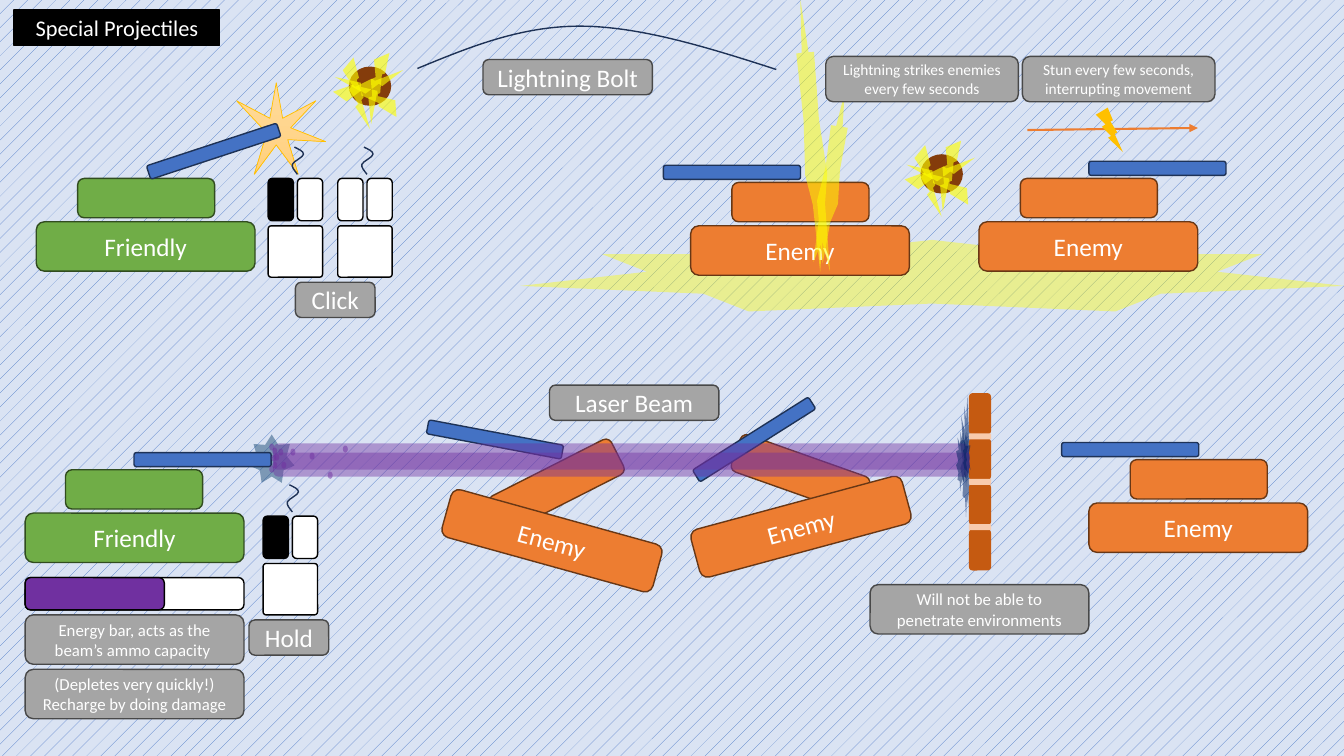
"""Build the Special Projectiles slide: a lightning bolt above, a laser beam below."""
from dataclasses import dataclass

from pptx import Presentation
from pptx.dml.color import RGBColor
from pptx.enum.dml import MSO_PATTERN
from pptx.enum.shapes import MSO_CONNECTOR, MSO_SHAPE
from pptx.enum.text import MSO_ANCHOR, PP_ALIGN
from pptx.oxml import parse_xml
from pptx.oxml.ns import nsdecls, qn
from pptx.util import Inches, Pt


@dataclass(frozen=True)
class Theme:
    font: str = "Calibri"
    small: int = 11
    note: int = 12
    heading: int = 16
    label: int = 18
    white: str = "FFFFFF"
    black: str = "000000"
    blue: str = "4472C4"
    blue_edge: str = "1E3256"
    paper: str = "DAE3F3"
    green: str = "70AD47"
    green_edge: str = "314C1F"
    orange: str = "ED7D31"
    orange_edge: str = "683715"
    gray: str = "A5A5A5"
    gray_edge: str = "484848"
    yellow: str = "FFFF00"
    gold: str = "FFC000"
    flash_top: str = "FFDB9E"
    flash_bottom: str = "FFD07C"
    brown: str = "843C0B"
    brick: str = "C55A11"
    mortar: str = "F8CBAD"
    purple: str = "7030A0"
    navy: str = "002060"
    steel: str = "1F4E79"


theme = Theme()
ROUND = MSO_SHAPE.ROUNDED_RECTANGLE
STAR = MSO_SHAPE.STAR_7_POINT
BOLT = MSO_SHAPE.LIGHTNING_BOLT
BURST = MSO_SHAPE.EXPLOSION2

prs = Presentation()
prs.slide_width, prs.slide_height = Inches(13.33), Inches(7.5)
slide = prs.slides.add_slide(prs.slide_layouts[5])
backdrop = slide.background.fill
backdrop.patterned()
backdrop.pattern = MSO_PATTERN.PERCENT_5
backdrop.fore_color.rgb = RGBColor.from_string(theme.blue)
backdrop.back_color.rgb = RGBColor.from_string(theme.paper)


def draw(kind, box, color, edge=None, alpha=None, turn=0, adjust=None,
         text="", size=theme.label):
    """Add a shape, or restyle the title when kind is None."""
    left, top, width, height = map(Inches, box)
    if kind is None:
        shape = slide.shapes.title
        shape.left, shape.top, shape.width, shape.height = left, top, width, height
        shape.element.spPr.insert(1, parse_xml(
            f'<a:prstGeom {nsdecls("a")} prst="roundRect"><a:avLst/></a:prstGeom>'))
    else:
        shape = slide.shapes.add_shape(kind, left, top, width, height)
        shape.shadow.inherit = False
    shape.rotation = turn
    if adjust is not None:
        shape.adjustments[0] = adjust
    shape.fill.solid()
    shape.fill.fore_color.rgb = RGBColor.from_string(color)
    if alpha:
        tint = shape.element.spPr.find(qn("a:solidFill")).find(qn("a:srgbClr"))
        tint.append(parse_xml(f'<a:alpha {nsdecls("a")} val="{alpha * 1000}"/>'))
    if edge:
        shape.line.color.rgb = RGBColor.from_string(edge)
        shape.line.width = Pt(1)
    else:
        shape.line.fill.background()
    if text:
        frame = shape.text_frame
        frame.text = text
        frame.word_wrap = True
        frame.vertical_anchor = MSO_ANCHOR.MIDDLE
        for paragraph in frame.paragraphs:
            paragraph.alignment = PP_ALIGN.CENTER
            font = paragraph.runs[0].font
            font.name, font.size = theme.font, Pt(size)
            font.color.rgb = RGBColor.from_string(theme.white)
    return shape


def draw_curve(points):
    """Draw one open outline of cubic Bezier segments."""
    builder = slide.shapes.build_freeform(*map(Inches, points[0]))
    builder.add_line_segments([tuple(map(Inches, p)) for p in points[1:]], close=False)
    curve = builder.convert_to_shape()
    curve.shadow.inherit = False
    curve.fill.background()
    curve.line.color.rgb = RGBColor.from_string(theme.blue_edge)
    curve.line.width = Pt(1)
    corners = list(curve.element.spPr.iter(qn("a:lnTo")))
    outline = corners[0].getparent()
    for start in range(0, len(corners), 3):
        bezier = parse_xml(f'<a:cubicBezTo {nsdecls("a")}/>')
        for corner in corners[start:start + 3]:
            bezier.append(corner[0])
            outline.remove(corner)
        outline.append(bezier)


draw(None, (0.14, 0.1, 2.04, 0.35), theme.black, theme.black,
     text="Special Projectiles", size=theme.heading)

draw(STAR, (2.47, 4.31, 0.45, 0.48), theme.steel, alpha=50, adjust=0.327)
draw(BURST, (9.52, 3.92, 0.15, 1.21), theme.navy, alpha=50, turn=357.4)
flash = draw(STAR, (2.25, 0.82, 0.98, 0.91), theme.gold, theme.gold, adjust=0.145)
flash.line.width = Pt(0.5)
flash.fill.gradient()
flash.fill.gradient_angle = 270
for stop, color in zip(flash.fill.gradient_stops, (theme.flash_top, theme.flash_bottom)):
    stop.color.rgb = RGBColor.from_string(color)
draw(STAR, (5.16, 2.38, 8.17, 0.71), theme.yellow, alpha=40)

friendly = ("Friendly", theme.green, theme.green_edge)
enemy = ("Enemy", theme.orange, theme.orange_edge)
tanks = [
    (friendly, (0.36, 2.2, 0), (0.77, 1.77, 0), (1.44, 1.43, 341.8)),
    (enemy, (6.85, 2.24, 0), (7.26, 1.81, 0), (6.58, 1.64, 0)),
    (enemy, (9.71, 2.2, 0), (10.12, 1.77, 0), (10.8, 1.6, 0)),
    (friendly, (0.25, 5.09, 0), (0.65, 4.66, 0), (1.33, 4.49, 0)),
    (enemy, (4.39, 5.12, 15.5), (4.84, 4.62, 333.1), (4.23, 4.29, 10.7)),
    (enemy, (6.86, 4.98, 344.9), (7.26, 4.51, 19.5), (6.8, 4.29, 327.7)),
    (enemy, (10.8, 4.99, 0), (11.21, 4.56, 0), (10.53, 4.39, 0)),
]
for (side, color, edge), hull, turret, barrel in tanks:
    draw(ROUND, (*turret[:2], 1.36, 0.39), color, edge, turn=turret[2])
    draw(ROUND, (*barrel[:2], 1.36, 0.14), theme.blue, theme.blue_edge, turn=barrel[2])
    draw(ROUND, (*hull[:2], 2.17, 0.49), color, edge, turn=hull[2], text=side)

for x, y in ((3.46, 0.66), (9.13, 1.53)):
    draw(MSO_SHAPE.OVAL, (x, y, 0.42, 0.39), theme.brown)
    for dx, dy, turn in ((-0.06, -0.09, 0), (0.07, -0.09, 136),
                         (0.06, -0.16, 265.8), (0.13, -0.16, 27.4)):
        draw(BOLT, (x + dx, y + dy, 0.27, 0.71), theme.yellow, alpha=62, turn=turn)
draw_curve([(4.14, 0.68), (4.65, 0.47), (5.16, 0.26), (5.75, 0.26),
            (6.34, 0.26), (7.02, 0.47), (7.7, 0.69)])

cable = [(0.29, -0.51), (0.26, -0.55), (0.23, -0.58), (0.24, -0.61), (0.25, -0.64),
         (0.35, -0.68), (0.35, -0.71), (0.35, -0.74), (0.3, -0.76), (0.26, -0.78)]
for x, y, left_button in ((2.66, 2.24, theme.black), (3.35, 2.24, theme.white),
                          (2.61, 5.59, theme.black)):
    draw(ROUND, (x, y, 0.54, 0.51), theme.white, theme.black, adjust=0.059)
    draw(ROUND, (x + 0.29, y - 0.47, 0.25, 0.42), theme.white, theme.black)
    draw(ROUND, (x, y - 0.47, 0.25, 0.42), left_button, theme.black)
    draw_curve([(x + dx, y + dy) for dx, dy in cable])

draw(STAR, (7.95, -0.02, 0.22, 2.72), theme.yellow, alpha=50, turn=354.8)
draw(STAR, (8.14, 0.91, 0.21, 1.71), theme.yellow, alpha=50, turn=8.9)
path_arrow = slide.shapes.add_connector(
    MSO_CONNECTOR.STRAIGHT, Inches(10.19), Inches(1.29), Inches(11.88), Inches(1.27))
path_arrow.line.color.rgb = RGBColor.from_string(theme.orange)
path_arrow.line.width = Pt(1.5)
path_arrow.element.spPr.find(qn("a:ln")).append(
    parse_xml(f'<a:tailEnd {nsdecls("a")} type="triangle"/>'))
path_arrow.element.spPr.append(parse_xml(f'<a:effectLst {nsdecls("a")}/>'))
draw(BOLT, (10.86, 1.07, 0.29, 0.43), theme.gold, turn=3.5)

for row in range(4):
    draw(ROUND, (9.61, 3.9 + 0.45 * row, 0.22, 0.41), theme.brick)
for row in range(3):
    draw(ROUND, (9.61, 4.3 + 0.45 * row, 0.22, 0.06), theme.mortar)

draw(ROUND, (2.71, 4.4, 6.9, 0.33), theme.purple, alpha=43)
for x, y in ((2.76, 4.45), (2.67, 4.62), (2.7, 4.44), (2.67, 4.4), (2.88, 4.45),
             (3.07, 4.49), (3.4, 4.42), (3.25, 4.68), (2.72, 4.5), (2.69, 4.51),
             (2.79, 4.58), (2.7, 4.58)):
    draw(MSO_SHAPE.OVAL, (x, y, 0.05, 0.07), theme.purple, alpha=50)
draw(ROUND, (2.72, 4.49, 6.9, 0.17), theme.purple, alpha=43)
for impact in ((9.55, 4.24, 0.08, 0.59), (9.48, 4.23, 0.13, 0.64)):
    draw(BURST, impact, theme.navy, alpha=50, turn=357.4)

for charge, color in ((2.17, theme.white), (1.38, theme.purple)):
    draw(ROUND, (0.25, 5.73, charge, 0.32), color, theme.black)

captions = [
    ((4.79, 0.59, 1.68, 0.35), theme.label, "Lightning Bolt"),
    ((2.93, 2.8, 0.79, 0.35), theme.label, "Click"),
    ((10.14, 0.56, 1.91, 0.45), theme.small, "Stun every few seconds, interrupting movement"),
    ((8.19, 0.56, 1.91, 0.45), theme.small, "Lightning strikes enemies every few seconds"),
    ((5.45, 3.82, 1.68, 0.35), theme.label, "Laser Beam"),
    ((2.47, 6.15, 0.79, 0.35), theme.label, "Hold"),
    ((0.25, 6.1, 2.17, 0.49), theme.note, "Energy bar, acts as the beam’s ammo capacity "),
    ((0.25, 6.64, 2.17, 0.49), theme.note,
     "(Depletes very quickly!)\nRecharge by doing damage"),
    ((8.63, 5.8, 2.17, 0.49), theme.note, "Will not be able to penetrate environments"),
]
for box, size, caption in captions:
    draw(ROUND, box, theme.gray, theme.gray_edge, text=caption, size=size)

prs.save("out.pptx")
